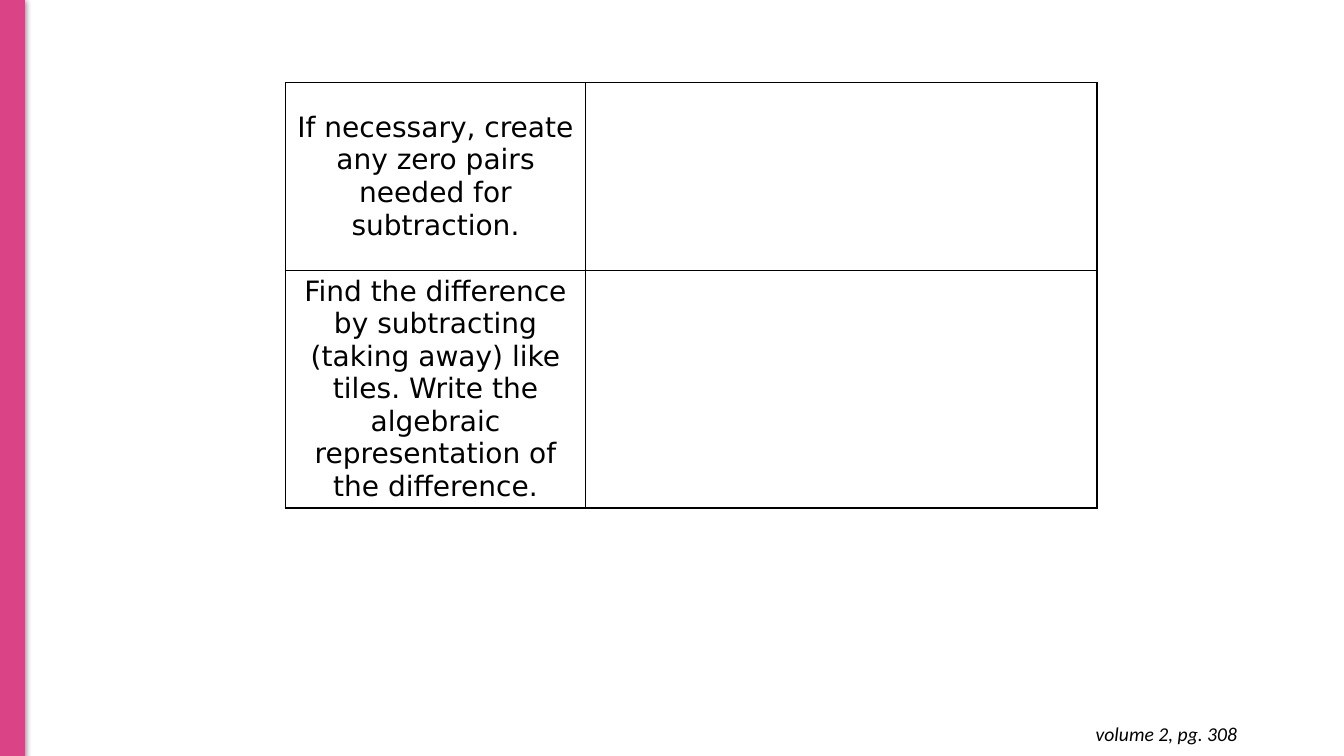
"""Builds a slide with a two-step table on subtracting with algebra tiles."""
from lxml import etree
from pptx import Presentation
from pptx.dml.color import RGBColor
from pptx.enum.shapes import MSO_SHAPE
from pptx.enum.text import MSO_ANCHOR, PP_ALIGN
from pptx.oxml import parse_xml
from pptx.util import Inches, Pt

STEPS = [
    "If necessary, create any zero pairs needed for subtraction.",
    "Find the difference by subtracting (taking away) like tiles. "
    "Write the algebraic representation of the difference.",
]
PAGE_REFERENCE = "volume 2, pg. 308"
COLUMN_WIDTHS = [2.98, 5.07]
ROW_HEIGHTS = [1.86, 2.36]

PINK = RGBColor(0xDA, 0x44, 0x87)
BLACK = RGBColor(0, 0, 0)
RECTANGLE = MSO_SHAPE.RECTANGLE
MIDDLE = MSO_ANCHOR.MIDDLE
CENTER, RIGHT = PP_ALIGN.CENTER, PP_ALIGN.RIGHT
NAMESPACE = "http://schemas.openxmlformats.org/drawingml/2006/main"


def style_paragraph(paragraph, text, align, font_name, size):
    paragraph.text = text
    paragraph.alignment = align
    paragraph.font.name = font_name
    paragraph.font.size = Pt(size)
    paragraph.font.color.rgb = BLACK


def add_side_bar(page):
    bar = page.shapes.add_shape(RECTANGLE, 0, Inches(-0.01), Inches(0.24), Inches(7.51))
    bar.fill.solid()
    bar.fill.fore_color.rgb = PINK
    bar.line.color.rgb = PINK
    bar.line.width = Pt(0.75)
    bar.shadow.inherit = False
    effects = bar.element.spPr.find(f"{{{NAMESPACE}}}effectLst")
    effects.append(parse_xml(
        f'<a:outerShdw xmlns:a="{NAMESPACE}" blurRad="{Pt(4.5)}" dist="{Pt(1.5)}" '
        'dir="5400000" rotWithShape="0"><a:srgbClr val="000000">'
        '<a:alpha val="50000"/></a:srgbClr></a:outerShdw>'))


def format_cell(cell):
    cell.vertical_anchor = MIDDLE
    cell.margin_left = cell.margin_right = Inches(0.07)
    cell.margin_top = cell.margin_bottom = 0
    properties = cell._tc.get_or_add_tcPr()
    for side in ("lnL", "lnR", "lnT", "lnB"):
        border = etree.SubElement(properties, f"{{{NAMESPACE}}}{side}", w=str(Pt(1)))
        fill = etree.SubElement(border, f"{{{NAMESPACE}}}solidFill")
        etree.SubElement(fill, f"{{{NAMESPACE}}}srgbClr", val=str(BLACK))
    cell.fill.background()


def add_steps_table(page):
    table = page.shapes.add_table(
        len(ROW_HEIGHTS), len(COLUMN_WIDTHS), Inches(2.83), Inches(0.82),
        Inches(sum(COLUMN_WIDTHS)), Inches(sum(ROW_HEIGHTS))).table
    table.first_row = table.horz_banding = False
    for column, width in zip(table.columns, COLUMN_WIDTHS):
        column.width = Inches(width)
    for row, height, step in zip(table.rows, ROW_HEIGHTS, STEPS):
        row.height = Inches(height)
        for cell in row.cells:
            format_cell(cell)
        paragraph = row.cells[0].text_frame.paragraphs[0]
        style_paragraph(paragraph, step, CENTER, "DejaVu Sans", 20)


def add_page_reference(page):
    box = page.shapes.add_textbox(Inches(9.49), Inches(7.06), Inches(2.88), Inches(0.44))
    frame = box.text_frame
    frame.word_wrap = True
    frame.margin_left = frame.margin_right = Inches(0.1)
    frame.margin_top = frame.margin_bottom = Inches(0.1)
    paragraph = frame.paragraphs[0]
    style_paragraph(paragraph, PAGE_REFERENCE, RIGHT, "Calibri", 14)
    paragraph.font.italic = True


def main():
    deck = Presentation()
    deck.slide_width, deck.slide_height = Inches(13.33), Inches(7.5)
    page = deck.slides.add_slide(deck.slide_layouts[6])
    add_side_bar(page)
    add_steps_table(page)
    add_page_reference(page)
    deck.save("out.pptx")


if __name__ == "__main__":
    main()
